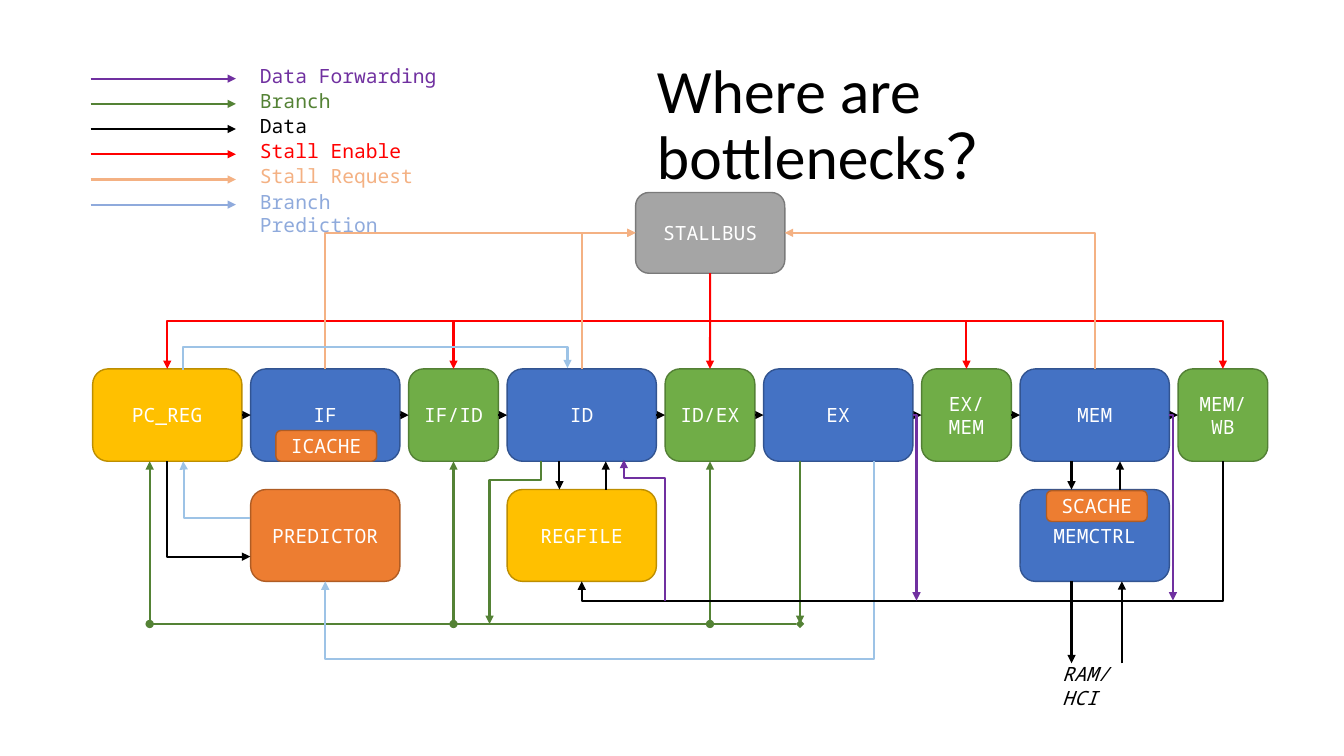
from lxml.etree import SubElement
from pptx import Presentation
from pptx.dml.color import RGBColor
from pptx.enum.shapes import MSO_CONNECTOR, MSO_SHAPE
from pptx.enum.text import MSO_ANCHOR, PP_ALIGN
from pptx.oxml.ns import qn
from pptx.util import Pt

COLORS = {
    "blue": "4472C4", "blue edge": "325491",
    "orange": "ED7D31", "orange edge": "AF5C24",
    "yellow": "FFC000", "yellow edge": "BD8E00",
    "green": "70AD47", "green edge": "538035",
    "gray": "A5A5A5", "gray edge": "7A7A7A",
    "white": "FFFFFF", "data": "000000", "forwarding": "7030A0",
    "branch": "548235", "enable": "FF0000", "request": "F4B183",
    "prediction": "9DC3E6", "prediction key": "8FAADC",
}
MONO = {"name": "Noto Sans Mono", "size": Pt(14)}
TITLE = {"name": "Calibri", "size": Pt(44)}
TOP, LEFT, BOTTOM, RIGHT = range(4)
WIDE, NARROW, GAP = 106.6, 64.1, 6.25
STAGE_TOP, STAGE_HEIGHT = 263.5, 66
STAGE_BOTTOM = STAGE_TOP + STAGE_HEIGHT
BRANCH_LEVEL, DATA_LEVEL, STALL_LEVEL = 445.7, 429, 229.5


def color(name):
    return RGBColor.from_string(COLORS[name])


def apply(target, values):
    for name, value in values.items():
        setattr(target, name, value)


def write(frame, text, ink, font, paragraph={}):
    frame.word_wrap = True
    para = frame.paragraphs[0]
    apply(para, paragraph)
    span = para.add_run()
    span.text = text
    apply(span.font, font)
    span.font.color.rgb = color(ink)


def block(page, text, fill, left, top, width, height):
    box = page.shapes.add_shape(MSO_SHAPE.ROUNDED_RECTANGLE, Pt(left), Pt(top), Pt(width), Pt(height))
    box.shadow.inherit = False
    box.fill.solid()
    box.fill.fore_color.rgb = color(fill)
    box.line.color.rgb = color(fill + " edge")
    box.line.width = Pt(1)
    box.text_frame.vertical_anchor = MSO_ANCHOR.MIDDLE
    write(box.text_frame, text, "white", MONO, {"alignment": PP_ALIGN.CENTER})
    return box


def label(page, text, ink, left, top, width, height, font=MONO, paragraph={}, anchor=MSO_ANCHOR.TOP):
    box = page.shapes.add_textbox(Pt(left), Pt(top), Pt(width), Pt(height))
    box.text_frame.vertical_anchor = anchor
    write(box.text_frame, text, ink, font, paragraph)


def site(box, side):
    left, top, width, height = (n.pt for n in (box.left, box.top, box.width, box.height))
    across, down = {TOP: (0.5, 0), LEFT: (0, 0.5), BOTTOM: (0.5, 1), RIGHT: (1, 0.5)}[side]
    return left + width * across, top + height * down


def wire(page, ink, start, end, kind=MSO_CONNECTOR.STRAIGHT, head=None, tail="triangle"):
    line = page.shapes.add_connector(kind, *(Pt(n) for n in (*start, *end)))
    line.line.color.rgb = color(ink)
    line.line.width = Pt(1.5)
    outline = line.line._get_or_add_ln()
    for tag, mark in (("a:headEnd", head), ("a:tailEnd", tail)):
        if mark:
            SubElement(outline, qn(tag)).set("type", mark)
    SubElement(line._element.spPr, qn("a:effectLst"))
    return line


def bent(page, ink, start, end, level=None, upright=True):
    glue = [point if isinstance(point[0], (int, float)) is False else None for point in (start, end)]
    start, end = (site(*point) if held else point for point, held in zip((start, end), glue))
    line = wire(page, ink, start, end, MSO_CONNECTOR.ELBOW)
    if glue[0]:
        line.begin_connect(*glue[0])
    if glue[1]:
        line.end_connect(*glue[1])
    across, down = end[0] - start[0], end[1] - start[1]
    width, height = abs(across), abs(down)
    if upright:
        width, height = height, width
        quarter = 1 if (across > 0) == (down < 0) else 3
        flips = (down < 0, across > 0) if quarter == 1 else (down > 0, across < 0)
    else:
        quarter, flips = (2 if across < 0 else 0), (False, False)
    apply(line, {
        "left": Pt((start[0] + end[0] - width) / 2),
        "top": Pt((start[1] + end[1] - height) / 2),
        "width": Pt(width), "height": Pt(height),
    })
    frame = line._element.spPr.find(qn("a:xfrm"))
    for name in ("flipH", "flipV", "rot"):
        frame.attrib.pop(name, None)
    for name, flipped in zip(("flipH", "flipV"), flips):
        if flipped:
            frame.set(name, "1")
    if quarter:
        frame.set("rot", str(quarter * 5400000))
    shape = line._element.spPr.find(qn("a:prstGeom"))
    if level is None:
        shape.set("prst", "bentConnector2")
    else:
        ratio = (level - start[1]) / down if upright else (level - start[0]) / across
        guides = shape.find(qn("a:avLst"))
        if guides is None:
            guides = SubElement(shape, qn("a:avLst"))
        guide = SubElement(guides, qn("a:gd"))
        guide.set("name", "adj1")
        guide.set("fmla", f"val {round(ratio * 100000)}")


def draw_legend(page):
    entries = (("Data Forwarding", "forwarding"), ("Branch", "branch"), ("Data", "data"),
               ("Stall Enable", "enable"), ("Stall Request", "request"),
               ("Branch Prediction", "prediction key"))
    for row, (text, ink) in enumerate(entries):
        level = 56.2 + 18 * row
        wire(page, ink, (64.8, level), (168.5, level))
        label(page, text, ink, 178.6, level - 14.4, 152.6, 24.5)


def draw_blocks(page):
    stages = (("PC_REG", "yellow"), ("IF", "blue"), ("IF/ID", "green"), ("ID", "blue"),
              ("ID/EX", "green"), ("EX", "blue"), ("EX/MEM", "green"), ("MEM", "blue"),
              ("MEM/WB", "green"))
    boxes, left = {}, 66.2
    for text, fill in stages:
        width = NARROW if fill == "green" else WIDE
        boxes[text] = block(page, text, fill, left, STAGE_TOP, width, STAGE_HEIGHT)
        left += width + GAP
    for text, fill, stage in (("PREDICTOR", "orange", "IF"), ("REGFILE", "yellow", "ID"),
                              ("MEMCTRL", "blue", "MEM")):
        boxes[text] = block(page, text, fill, boxes[stage].left.pt, 349.7, WIDE, 65.6)
    block(page, "ICACHE", "orange", 197.1, 307.5, 72, 22)
    block(page, "SCACHE", "orange", 747.5, 350.5, 72, 22)
    boxes["STALLBUS"] = block(page, "STALLBUS", "gray", 454, 137.5, WIDE, 57.7)
    chain = [boxes[text] for text, fill in stages]
    for before, after in zip(chain, chain[1:]):
        wire(page, "data", site(before, RIGHT), site(after, LEFT))
    return boxes


def draw_stalls(page, boxes):
    bus = boxes["STALLBUS"]
    wire(page, "enable", site(bus, BOTTOM), site(boxes["ID/EX"], TOP))
    for name in ("IF/ID", "EX/MEM", "MEM/WB", "PC_REG"):
        bent(page, "enable", (bus, BOTTOM), (boxes[name], TOP), STALL_LEVEL)
    for name, side in (("IF", LEFT), ("ID", LEFT), ("MEM", RIGHT)):
        bent(page, "request", (boxes[name], TOP), (bus, side))


def draw_branches(page, boxes):
    wire(page, "branch", (106.9, BRANCH_LEVEL), (571.5, BRANCH_LEVEL), tail="diamond")
    bent(page, "branch", (386.6, STAGE_BOTTOM), (349.7, BRANCH_LEVEL), 342.7)
    wire(page, "branch", (571.5, STAGE_BOTTOM), (571.5, BRANCH_LEVEL))
    for x in (106.9, site(boxes["IF/ID"], BOTTOM)[0], site(boxes["ID/EX"], BOTTOM)[0]):
        wire(page, "branch", (x, BRANCH_LEVEL), (x, STAGE_BOTTOM), head="oval")
    bent(page, "prediction", (624, STAGE_BOTTOM), (boxes["PREDICTOR"], BOTTOM), 470.9)
    bent(page, "prediction", (130.6, 264), (405.4, 263), 247.7)
    bent(page, "prediction", (178.8, 370), (130.8, STAGE_BOTTOM), 131.2, upright=False)


def draw_data(page, boxes):
    for x, start, end in ((399.6, STAGE_BOTTOM, 349.7), (432.7, 349.7, STAGE_BOTTOM),
                          (765.4, STAGE_BOTTOM, 349.7), (800, 349.7, STAGE_BOTTOM),
                          (765.4, 415.3, 473.8), (801.4, 473.8, 415.3)):
        wire(page, "data", (x, start), (x, end))
    bent(page, "data", (boxes["MEM/WB"], BOTTOM), (boxes["REGFILE"], BOTTOM), DATA_LEVEL)
    bent(page, "data", (119.5, STAGE_BOTTOM), (178.8, 397.6), 397.7)
    for name in ("MEM", "EX"):
        x, y = site(boxes[name], RIGHT)
        bent(page, "forwarding", (boxes[name], RIGHT), (x + 2.6, DATA_LEVEL), upright=False)
    bent(page, "forwarding", (475.2, DATA_LEVEL), (445.6, STAGE_BOTTOM - 1), 341.8)
    label(page, "RAM/HCI", "data", 751.7, 469.4, 72, 24.5, {**MONO, "italic": True})


def main():
    deck = Presentation()
    apply(deck, {"slide_width": Pt(960), "slide_height": Pt(540)})
    page = deck.slides.add_slide(deck.slide_layouts[6])
    boxes = draw_blocks(page)
    draw_stalls(page, boxes)
    draw_branches(page, boxes)
    draw_data(page, boxes)
    draw_legend(page)
    label(page, "Where are bottlenecks？", "data", 462.2, 38.2, 432.7, 104.4, TITLE,
          {"line_spacing": 0.9}, MSO_ANCHOR.MIDDLE)
    deck.save("out.pptx")


main()
